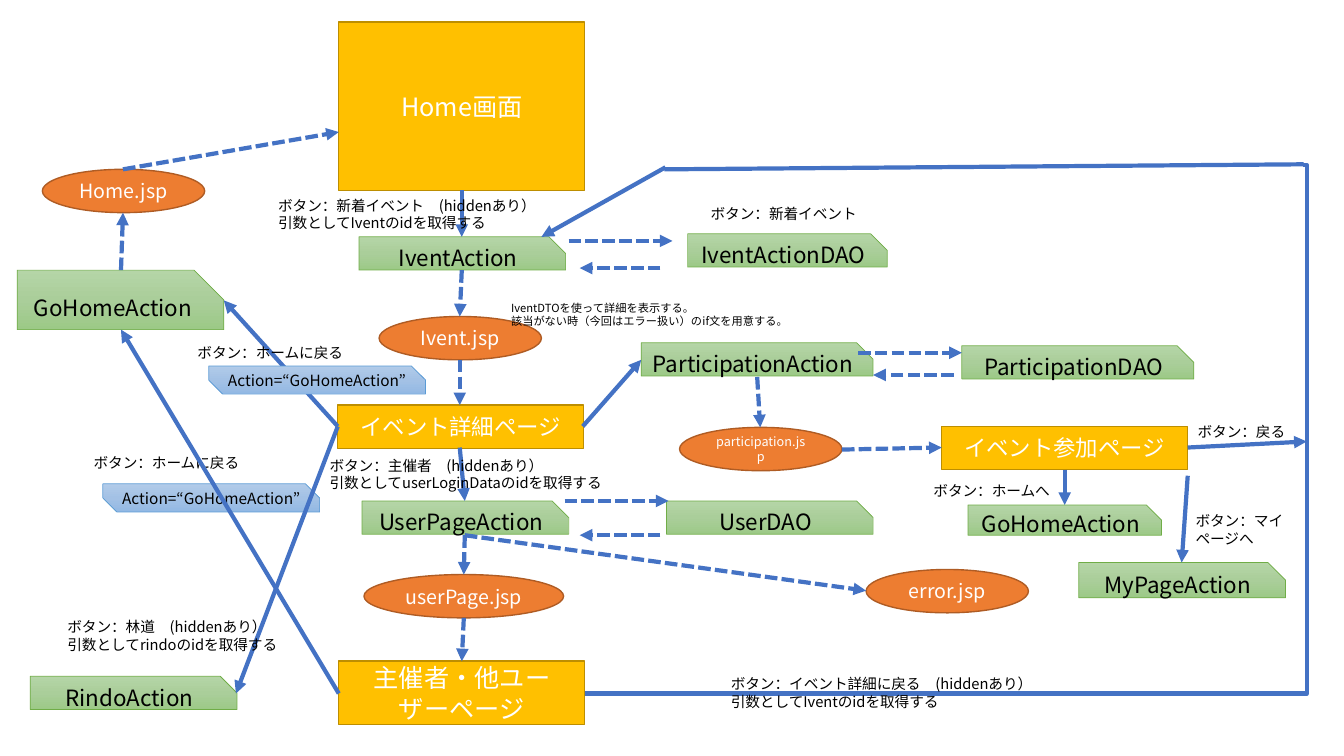
import copy
from dataclasses import dataclass
from typing import Optional, Union

import pptx
import pptx.dml.color
import pptx.enum.dml
import pptx.enum.shapes
import pptx.enum.text
import pptx.oxml.ns
import pptx.util
from lxml import etree

Inches = pptx.util.Inches
RGBColor = pptx.dml.color.RGBColor
Preset = pptx.enum.shapes.MSO_SHAPE
Align = pptx.enum.text.PP_ALIGN
Anchor = pptx.enum.text.MSO_ANCHOR
qn = pptx.oxml.ns.qn

FONT = "Noto Sans CJK JP"
BLACK = RGBColor(0x00, 0x00, 0x00)
WHITE = RGBColor(0xFF, 0xFF, 0xFF)
AMBER = RGBColor(0xFF, 0xC0, 0x00)
AMBER_EDGE = RGBColor(0xBD, 0x8E, 0x00)
ORANGE = RGBColor(0xED, 0x7D, 0x31)
ORANGE_EDGE = RGBColor(0xAF, 0x5C, 0x24)
GREEN_EDGE = RGBColor(0x70, 0xAD, 0x47)
GREENS = (RGBColor(0xB5, 0xD5, 0xA7), RGBColor(0xAA, 0xCE, 0x9A), RGBColor(0x9C, 0xC9, 0x87))
BLUE_EDGE = RGBColor(0x5B, 0x9B, 0xD5)
BLUES = (RGBColor(0xB1, 0xCB, 0xE9), RGBColor(0xA3, 0xC1, 0xE5), RGBColor(0x93, 0xB9, 0xE4))
ARROW_BLUE = RGBColor(0x44, 0x72, 0xC4)


@dataclass(frozen=True)
class Style:
    preset: Preset
    fills: tuple[RGBColor, ...]
    edge: RGBColor
    edge_width: float
    text_color: RGBColor
    size: float
    adjustments: tuple[float, ...] = ()


PAGE = Style(Preset.RECTANGLE, (AMBER,), AMBER_EDGE, 1, WHITE, 16)
JSP = Style(Preset.OVAL, (ORANGE,), ORANGE_EDGE, 1, WHITE, 14)
ACTION = Style(Preset.SNIP_1_RECTANGLE, GREENS, GREEN_EDGE, 0.5, BLACK, 16, (0.5,))
PARAMETER = Style(Preset.SNIP_2_DIAG_RECTANGLE, BLUES, BLUE_EDGE, 0.5, BLACK, 11, (0, 0.5))


@dataclass(frozen=True)
class Node:
    style: Style
    text: str
    left: float
    top: float
    width: float = 2.05
    height: float = 0.33
    size: Optional[float] = None


@dataclass(frozen=True)
class Label:
    text: str
    left: float
    top: float
    width: float
    height: float = 0.28
    size: float = 10.5


@dataclass(frozen=True)
class Link:
    start: tuple[float, float]
    end: tuple[float, float]
    dashed: bool = False
    arrow: bool = True
    bend: Optional[float] = None


# Back to front
FLOW: tuple[Union[Node, Label, Link], ...] = (
    Node(PAGE, "Home画面", 3.36, 0.22, 2.44, 1.67, size=18),
    Node(JSP, "Home.jsp", 0.42, 1.68, 1.61, 0.43),
    Link((1.22, 1.68), (3.36, 1.31), dashed=True),
    Node(PAGE, "イベント詳細ページ", 3.35, 4.02, 2.44, 0.43),
    Label("ボタン：ホームに戻る", 0.83, 4.45, 1.98),
    Node(ACTION, "GoHomeAction", 0.17, 2.68, height=0.59),
    Node(PARAMETER, "Action=“GoHomeAction”", 1.02, 4.8, 2.15, 0.28),
    Link((1.2, 2.68), (1.22, 2.11), dashed=True),
    Node(PAGE, "主催者・他ユーザーページ", 3.36, 6.56, 2.44, 0.63, size=18),
    Node(ACTION, "IventAction", 3.56, 2.35),
    Node(JSP, "Ivent.jsp", 3.76, 3.14, 1.61, 0.43),
    Node(ACTION, "UserPageAction", 3.59, 4.97),
    Node(JSP, "userPage.jsp", 3.61, 5.7, 1.98, 0.43),
    Link((4.58, 1.89), (4.58, 2.35)),
    Link((4.58, 2.68), (4.56, 3.14), dashed=True),
    Link((4.56, 3.57), (4.56, 4.02), dashed=True),
    Link((4.56, 4.44), (4.61, 4.97)),
    Link((4.61, 5.31), (4.6, 5.7), dashed=True),
    Link((4.6, 6.13), (4.58, 6.56), dashed=True),
    Link((3.35, 4.23), (2.22, 2.98)),
    Link((3.36, 6.88), (1.2, 3.27)),
    Label("ボタン：ホームに戻る", 1.86, 3.36, 1.98),
    Node(PARAMETER, "Action=“GoHomeAction”", 2.07, 3.63, 2.15, 0.28),
    Label("ボタン：新着イベント　(hiddenあり）\n引数としてIventのidを取得する", 2.66, 1.9, 3.55, 0.45),
    Node(ACTION, "IventActionDAO", 6.82, 2.32, 1.98),
    Link((5.64, 2.39), (6.67, 2.39), dashed=True),
    Link((6.55, 2.66), (5.75, 2.66), dashed=True),
    Label("ボタン：新着イベント", 6.95, 1.98, 1.98),
    Label("IventDTOを使って詳細を表示する。\n該当がない時（今回はエラー扱い）のif文を用意する。",
          4.97, 2.94, 3.55, 0.37, size=8),
    Label("ボタン：主催者　(hiddenあり）\n引数としてuserLoginDataのidを取得する", 3.17, 4.48, 3.55, 0.45),
    Node(ACTION, "UserDAO", 6.61, 4.97),
    Link((6.55, 5.31), (5.75, 5.31), dashed=True),
    Link((5.6, 4.97), (6.63, 4.97), dashed=True),
    Node(JSP, "error.jsp", 8.59, 5.65, 1.61, 0.43),
    Link((4.61, 5.31), (8.59, 5.86), dashed=True),
    Link((5.8, 6.88), (12.92, 1.64), arrow=False, bend=1.006),
    Link((12.93, 1.63), (6.59, 1.68), arrow=False),
    Link((6.6, 1.66), (5.37, 2.35)),
    Label("ボタン：イベント詳細に戻る　(hiddenあり）\n引数としてIventのidを取得する", 7.15, 6.65, 3.55, 0.45),
    Node(PAGE, "イベント参加ページ", 9.34, 4.23, 2.44, 0.43),
    Node(ACTION, "ParticipationAction", 6.36, 3.4, 2.3),
    Node(JSP, "participation.jsp", 6.74, 4.24, 1.61, 0.43, size=9),
    Link((8.35, 4.46), (9.34, 4.44), dashed=True),
    Node(ACTION, "ParticipationDAO", 9.54, 3.43, 2.3),
    Link((8.51, 3.5), (9.54, 3.5), dashed=True),
    Link((9.46, 3.72), (8.66, 3.72), dashed=True),
    Link((10.56, 4.66), (10.56, 5.01)),
    Link((7.51, 3.74), (7.54, 4.24), dashed=True),
    Link((11.78, 4.44), (12.96, 4.38)),
    Label("ボタン：戻る", 11.78, 4.15, 1.26),
    Node(ACTION, "GoHomeAction", 9.6, 5.01, 1.92, 0.3),
    Label("ボタン：ホームへ", 9.16, 4.73, 1.57),
    Node(ACTION, "MyPageAction", 10.7, 5.58, height=0.35),
    Link((5.78, 4.23), (6.36, 3.57)),
    Link((11.78, 4.72), (11.72, 5.58)),
    Label("ボタン：マイページへ", 11.76, 5.03, 1.26, 0.45),
    Node(ACTION, "RindoAction", 0.3, 6.71),
    Link((3.35, 4.23), (2.34, 6.88)),
    Label("ボタン：林道　(hiddenあり）\n引数としてrindoのidを取得する", 0.57, 6.08, 2.7, 0.45),
)


def write_text(box, text: str, *, size: float, color: RGBColor = BLACK,
               align: Align = Align.LEFT, anchor: Anchor = Anchor.TOP) -> None:
    frame = box.text_frame
    frame.word_wrap = True
    frame.vertical_anchor = anchor
    frame.text = text
    for para in frame.paragraphs:
        para.alignment = align
        for span in para.runs:
            span.font.size = pptx.util.Pt(size)
            span.font.color.rgb = color
            span.font.name = FONT
            etree.SubElement(span.font._element, qn("a:ea"), typeface=FONT)


def fill_shape(shape, colors: tuple[RGBColor, ...]) -> None:
    """Fill solid for one colour, or top to bottom through three."""
    if len(colors) == 1:
        shape.fill.solid()
        shape.fill.fore_color.rgb = colors[0]
        return
    shape.fill.gradient()
    shape.fill.gradient_angle = 270
    stop_list = shape.element.spPr.find(".//" + qn("a:gsLst"))
    stop_list.insert(1, copy.deepcopy(stop_list[0]))
    for stop, color, position in zip(shape.fill.gradient_stops, colors, (0, 0.5, 1)):
        stop.color.rgb = color
        stop.position = position


def draw_node(slide, node: Node) -> None:
    style = node.style
    shape = slide.shapes.add_shape(style.preset, Inches(node.left), Inches(node.top),
                                   Inches(node.width), Inches(node.height))
    shape.shadow.inherit = False
    for index, value in enumerate(style.adjustments):
        shape.adjustments[index] = value
    fill_shape(shape, style.fills)
    shape.line.color.rgb = style.edge
    shape.line.width = pptx.util.Pt(style.edge_width)
    write_text(shape, node.text, size=node.size or style.size, color=style.text_color,
               align=Align.CENTER, anchor=Anchor.MIDDLE)


def draw_label(slide, label: Label) -> None:
    box = slide.shapes.add_textbox(Inches(label.left), Inches(label.top),
                                   Inches(label.width), Inches(label.height))
    write_text(box, label.text, size=label.size)
    box.text_frame.auto_size = pptx.enum.text.MSO_AUTO_SIZE.SHAPE_TO_FIT_TEXT


def draw_link(slide, link: Link) -> None:
    kinds = pptx.enum.shapes.MSO_CONNECTOR
    kind = kinds.STRAIGHT if link.bend is None else kinds.ELBOW
    connector = slide.shapes.add_connector(kind, *map(Inches, link.start + link.end))
    connector.line.color.rgb = ARROW_BLUE
    connector.line.width = pptx.util.Pt(3)
    if link.dashed:
        connector.line.dash_style = pptx.enum.dml.MSO_LINE.SQUARE_DOT
    properties = connector.element.spPr
    if link.arrow or link.bend is not None:
        etree.SubElement(properties.find(qn("a:ln")), qn("a:tailEnd"), type="triangle" if link.arrow else "none")
    if link.bend is not None:
        etree.SubElement(properties.find(".//" + qn("a:avLst")), qn("a:gd"),
                         name="adj1", fmla=f"val {round(link.bend * 100000)}")
    etree.SubElement(properties, qn("a:effectLst"))


def main() -> None:
    deck = pptx.Presentation()
    deck.slide_width, deck.slide_height = Inches(13.33), Inches(7.5)
    slide = deck.slides.add_slide(deck.slide_layouts[6])
    draw = {Node: draw_node, Label: draw_label, Link: draw_link}
    for item in FLOW:
        draw[type(item)](slide, item)
    deck.save("out.pptx")


if __name__ == "__main__":
    main()
